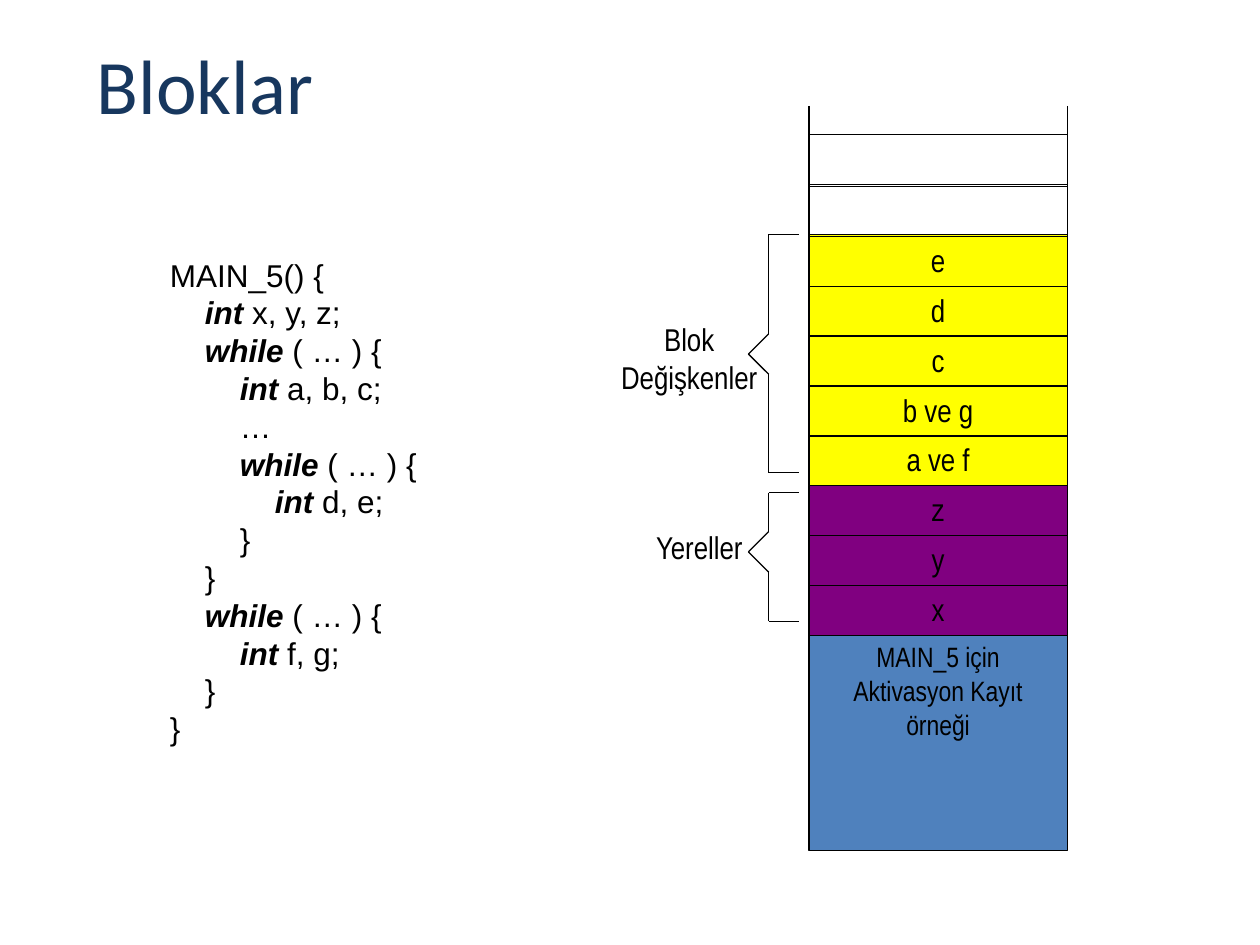
from lxml.etree import SubElement
from pptx import Presentation
from pptx.dml.color import RGBColor
from pptx.enum.shapes import MSO_CONNECTOR, MSO_SHAPE
from pptx.enum.text import MSO_ANCHOR, PP_ALIGN
from pptx.oxml.ns import qn
from pptx.util import Inches, Pt

COLORS = {
    "black": "000000",
    "title": "17375E",
    "block": "FFFF00",
    "local": "800080",
    "record": "4F81BD",
}
KEYWORDS = ("int", "while")

deck = Presentation()
deck.slide_width, deck.slide_height = Inches(10), Inches(7.5)
page = deck.slides.add_slide(deck.slide_layouts[6])


def write(box, lines, font, size, color="black", align=PP_ALIGN.CENTER, wrap=True):
    frame = box.text_frame
    frame.word_wrap = wrap
    frame.vertical_anchor = MSO_ANCHOR.TOP
    for index, line in enumerate(lines):
        para = frame.paragraphs[0] if index == 0 else frame.add_paragraph()
        para.alignment = align
        keyword = next((word for word in KEYWORDS if line.strip().startswith(word + " ")), "")
        parts = line.partition(keyword) if keyword else (line,)
        for part in parts:
            span = para.add_run()
            span.text = part
            style = {"name": font, "size": Pt(size)}
            if part in KEYWORDS:
                style.update(bold=True, italic=True)
            for name, value in style.items():
                setattr(span.font, name, value)
            span.font.color.rgb = RGBColor.from_string(COLORS[color])


def draw_line(start, end):
    line = page.shapes.add_connector(
        MSO_CONNECTOR.STRAIGHT, *(Inches(value) for value in (*start, *end))
    )
    line.line.color.rgb = RGBColor.from_string(COLORS["black"])
    line.line.width = Pt(0.75)
    SubElement(line._element.spPr, qn("a:effectLst"))


code = [
    "MAIN_5() {",
    "    int x, y, z;",
    "    while ( … ) {",
    "        int a, b, c;",
    "        …",
    "        while ( … ) {",
    "            int d, e;",
    "        }",
    "    }",
    "    while ( … ) {",
    "        int f, g;",
    "    }",
    "}",
]
code_box = page.shapes.add_textbox(Inches(1.25), Inches(1.98), Inches(2.18), Inches(4.04))
write(code_box, code, "Arial", 18, align=PP_ALIGN.LEFT, wrap=False)

stack_left, stack_top, stack_width = 6.42, 1.07, 2.05
record_top, cell_height = 5.03, 0.41
cells = [("", None), ("", None)]
cells += [(name, "block") for name in ("e", "d", "c", "b ve g", "a ve f")]
cells += [(name, "local") for name in ("z", "y", "x")]
step = (record_top - stack_top) / len(cells)
rows = [
    (stack_top + index * step, cell_height, label, fill, 18)
    for index, (label, fill) in enumerate(cells)
]
rows.append((record_top, 1.72, "MAIN_5 için Aktivasyon Kayıt örneği", "record", 16))

for top, height, label, fill, size in reversed(rows):
    cell = page.shapes.add_shape(
        MSO_SHAPE.RECTANGLE, Inches(stack_left), Inches(top), Inches(stack_width), Inches(height)
    )
    cell.shadow.inherit = False
    cell.line.color.rgb = RGBColor.from_string(COLORS["black"])
    cell.line.width = Pt(0.75)
    if fill:
        cell.fill.solid()
        cell.fill.fore_color.rgb = RGBColor.from_string(COLORS[fill])
        write(cell, [label], "Arial Narrow", size)
    else:
        cell.fill.background()

for side in (stack_left, stack_left + stack_width):
    draw_line((side, 0.84), (side, stack_top))

tip_x, spine_x, arm_x, notch = 5.94, 6.1, 6.34, 0.16
for top, middle, bottom in ((1.86, 2.81, 3.75), (3.91, 4.38, 4.93)):
    points = [
        (arm_x, top),
        (spine_x, top),
        (spine_x, middle - notch),
        (tip_x, middle),
        (spine_x, middle + notch),
        (spine_x, bottom),
        (arm_x, bottom),
    ]
    for start, end in zip(points, points[1:]):
        draw_line(start, end)

for left, top, height, lines in (
    (4.76, 2.49, 0.7, ["Blok", "Değişkenler"]),
    (4.84, 4.14, 0.4, ["Yereller"]),
):
    label_box = page.shapes.add_textbox(Inches(left), Inches(top), Inches(1.42), Inches(height))
    write(label_box, lines, "Arial Narrow", 18)

title_box = page.shapes.add_textbox(Inches(0.67), Inches(0.25), Inches(8.92), Inches(1.08))
write(title_box, ["Bloklar"], "Calibri", 44, color="title", align=PP_ALIGN.LEFT)

deck.save("out.pptx")
